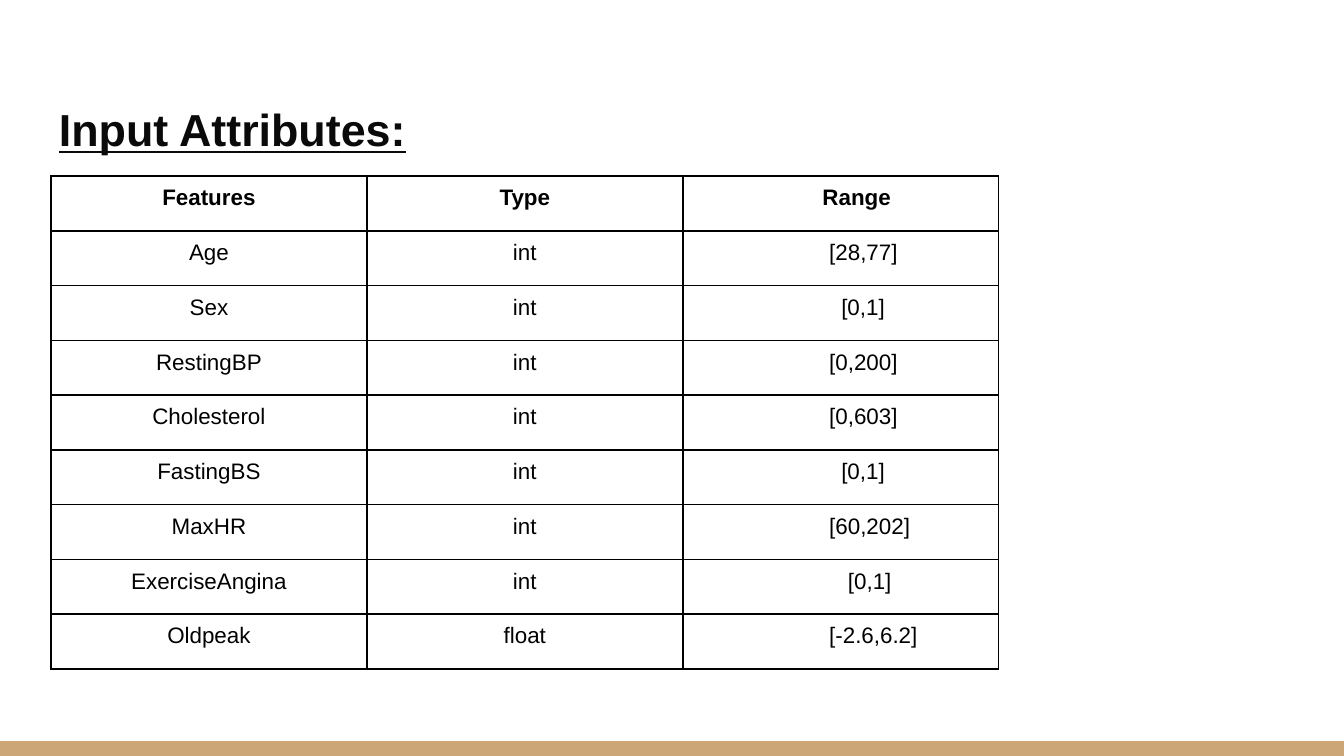
from typing import NamedTuple

from lxml import etree
from pptx import Presentation, util as u
from pptx.dml.color import RGBColor
from pptx.enum import shapes, text
from pptx.oxml.ns import qn

WIDTH = 10
HEIGHT = WIDTH * 9 / 16
FONT = "Arial"
BLACK, TITLE_INK, TAN, WHITE = "000000", "0A0A0A", "CCA677", "FFFFFF"

TABLE_LEFT, TABLE_TOP = 0.38, 1.31
COLUMN_WIDTH = 2.35
TABLE_HEIGHT = 3.67
CELL_MARGIN = 0.07
BORDER_SIDES = ("a:lnL", "a:lnR", "a:lnT", "a:lnB")


class Attribute(NamedTuple):
    feature: str
    type_name: str
    value_range: str
    range_indent: float = 1.02  # inches


ATTRIBUTES = [
    Attribute("Features", "Type", "Range", 0.97),
    Attribute("Age", "int", "[28,77]"),
    Attribute("Sex", "int", "[0,1]", 1.11),
    Attribute("RestingBP", "int", "[0,200]"),
    Attribute("Cholesterol", "int", "[0,603]"),
    Attribute("FastingBS", "int", "[0,1]", 1.11),
    Attribute("MaxHR", "int", "[60,202]"),
    Attribute("ExerciseAngina", "int", "[0,1]", 1.16),
    Attribute("Oldpeak", "float", "[-2.6,6.2]"),
]


def color(value: str) -> RGBColor:
    return RGBColor.from_string(value)


def apply_format(target, values: dict) -> None:
    for name, value in values.items():
        setattr(target, name, value)


def paint(fill, value: str) -> None:
    fill.solid()
    fill.fore_color.rgb = color(value)


def write(para, words: str, ink: str, **font_values) -> None:
    span = para.add_run()
    span.text = words
    apply_format(span.font, {"name": FONT, **font_values})
    span.font.color.rgb = color(ink)


def set_margins(holder, inches: float) -> None:
    sides = ("left", "right", "top", "bottom")
    apply_format(holder, {f"margin_{side}": u.Inches(inches) for side in sides})


def add_borders(cell) -> None:
    properties = cell._tc.get_or_add_tcPr()
    for position, side in enumerate(BORDER_SIDES):
        line = etree.Element(qn(side), w=str(u.Pt(1)))
        fill = etree.SubElement(line, qn("a:solidFill"))
        etree.SubElement(fill, qn("a:srgbClr"), val=BLACK)
        properties.insert(position, line)


def add_footer_band(page) -> None:
    band_height = 0.11
    band = page.shapes.add_shape(
        shapes.MSO_SHAPE.RECTANGLE, 0, u.Inches(HEIGHT - band_height),
        u.Inches(WIDTH), u.Inches(band_height))
    band.shadow.inherit = False
    paint(band.fill, TAN)
    band.line.fill.background()


def add_title(page, words: str) -> None:
    margin = 0.034 * WIDTH
    box = page.shapes.add_textbox(
        u.Inches(margin), u.Inches(0.35), u.Inches(WIDTH - 2 * margin), u.Inches(0.91))
    frame = box.text_frame
    apply_format(frame, {"word_wrap": True, "vertical_anchor": text.MSO_ANCHOR.BOTTOM})
    set_margins(frame, 0.1)
    para = frame.paragraphs[0]
    apply_format(para, {"line_spacing": 1.15, "space_before": u.Pt(16),
                        "space_after": u.Pt(4)})
    write(para, words, TITLE_INK, size=u.Pt(24), bold=True, underline=True)


def fill_cell(cell, words: str, bold: bool, indent: float | None = None) -> None:
    """Centre the words, or start them at an indent given in inches."""
    set_margins(cell, CELL_MARGIN)
    cell.fill.background()
    add_borders(cell)
    para = cell.text_frame.paragraphs[0]
    if indent is None:
        para.alignment = text.PP_ALIGN.CENTER
    else:
        para.alignment = text.PP_ALIGN.LEFT
        para._p.get_or_add_pPr().set("marL", str(u.Inches(indent)))
    write(para, words, BLACK, size=u.Pt(12), bold=bold)


def add_attribute_table(page, attributes: list[Attribute]) -> None:
    row_count, column_count = len(attributes), 3
    table = page.shapes.add_table(
        row_count, column_count, u.Inches(TABLE_LEFT), u.Inches(TABLE_TOP),
        u.Inches(column_count * COLUMN_WIDTH), u.Inches(TABLE_HEIGHT)).table
    apply_format(table, {"first_row": False, "horz_banding": False})
    for row, attribute in enumerate(attributes):
        header = row == 0
        fill_cell(table.cell(row, 0), attribute.feature, header)
        fill_cell(table.cell(row, 1), attribute.type_name, header)
        fill_cell(table.cell(row, 2), attribute.value_range, header,
                  attribute.range_indent)


def main() -> None:
    deck = Presentation()
    apply_format(deck, {"slide_width": u.Inches(WIDTH), "slide_height": u.Inches(HEIGHT)})
    page = deck.slides.add_slide(deck.slide_layouts[6])
    paint(page.background.fill, WHITE)
    add_footer_band(page)
    add_title(page, "Input Attributes:")
    add_attribute_table(page, ATTRIBUTES)
    deck.save("out.pptx")


if __name__ == "__main__":
    main()
